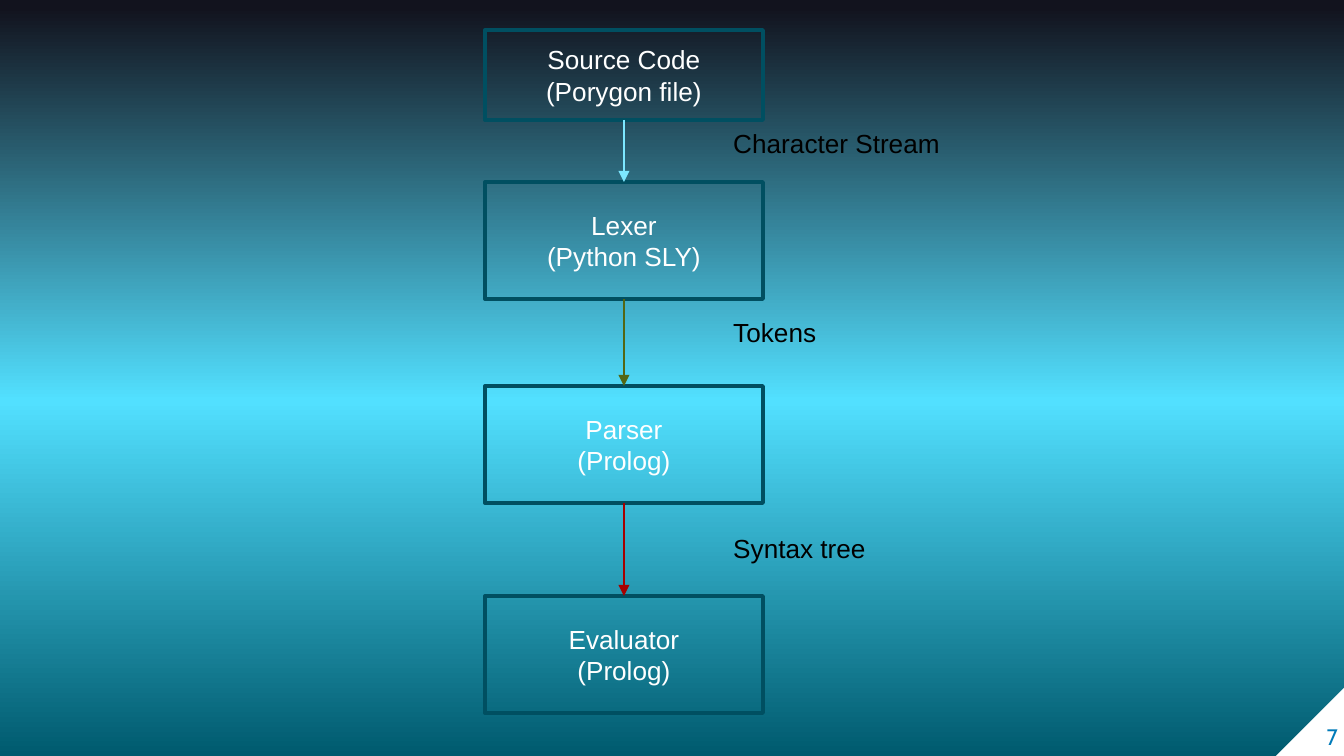
from copy import deepcopy
from itertools import pairwise

from pptx import Presentation
from pptx import util as u
from pptx.dml.color import RGBColor
from pptx.enum import shapes, text
from pptx.oxml import parse_xml
from pptx.oxml.ns import nsdecls

SCALE = 914400 / 134.4
WHITE = RGBColor(0xFF, 0xFF, 0xFF)
BLACK = RGBColor(0x00, 0x00, 0x00)
BORDER = RGBColor(0x00, 0x4F, 0x61)
NUMBER = RGBColor(0x00, 0x7B, 0xB9)
TEAL = RGBColor(0x00, 0x5A, 0x6E)
CYAN = RGBColor(0x52, 0xE0, 0xFF)
NIGHT = RGBColor(0x12, 0x13, 0x1E)
PALE = RGBColor(0x7D, 0xE7, 0xFF)
OLIVE = RGBColor(0x53, 0x67, 0x14)
RED = RGBColor(0xA6, 0x00, 0x00)


def px(*values):
    return [u.Emu(round(v * SCALE)) for v in values]


class Deck:
    font = "Arial"
    size = 14

    def __init__(self, width, height):
        self.prs = Presentation()
        self.prs.slide_width, self.prs.slide_height = px(width, height)
        self.s = self.prs.slides.add_slide(self.prs.slide_layouts[6])

    def background(self, stops, angle):
        fill = self.s.background.fill
        fill.gradient()
        fill.gradient_angle = angle
        first = fill.gradient_stops[0]._gs
        first.addnext(deepcopy(first))
        for stop, (position, color) in zip(fill.gradient_stops, stops):
            stop.position = position
            stop.color.rgb = color

    def set_text(self, sp, words, color, align, size=None, font=None):
        tf = sp.text_frame
        tf.word_wrap = True
        tf.text = words
        for p in tf.paragraphs:
            p.alignment = align
            for r in p.runs:
                r.font.name = font or self.font
                r.font.size = u.Pt(size or self.size)
                r.font.color.rgb = color
        return tf

    def corner(self, x, y, side):
        sp = self.s.shapes.add_shape(shapes.MSO_SHAPE.RIGHT_TRIANGLE, *px(x, y, side, side))
        sp.shadow.inherit = False
        sp.fill.solid()
        sp.fill.fore_color.rgb = WHITE
        sp.line.fill.background()
        sp._element.spPr.xfrm.set("flipH", "1")

    def page_number(self, x, y, w, h, words):
        sp = self.s.shapes.add_textbox(*px(x, y, w, h))
        tf = self.set_text(sp, words, NUMBER, text.PP_ALIGN.RIGHT, 12, "Cabin")
        tf.margin_left = tf.margin_right = tf.margin_top = tf.margin_bottom = 0
        tf.vertical_anchor = text.MSO_ANCHOR.BOTTOM

    def box(self, x, y, w, h, words):
        sp = self.s.shapes.add_shape(shapes.MSO_SHAPE.RECTANGLE, *px(x, y, w, h))
        sp.shadow.inherit = False
        sp.fill.background()
        sp.line.color.rgb = BORDER
        sp.line.width = u.Pt(2)
        tf = self.set_text(sp, words, WHITE, text.PP_ALIGN.CENTER)
        tf.vertical_anchor = text.MSO_ANCHOR.MIDDLE

    def arrow(self, x, top, bottom, color):
        sp = self.s.shapes.add_connector(shapes.MSO_CONNECTOR.STRAIGHT, *px(x, top, x, bottom))
        sp.line.color.rgb = color
        sp.line.width = u.Pt(0.75)
        sp.line._get_or_add_ln().append(parse_xml(f'<a:tailEnd {nsdecls("a")} type="triangle"/>'))
        sp._element.spPr.append(parse_xml(f'<a:effectLst {nsdecls("a")}/>'))

    def label(self, x, y, w, h, words):
        sp = self.s.shapes.add_textbox(*px(x, y, w, h))
        tf = self.set_text(sp, words, BLACK, text.PP_ALIGN.LEFT)
        tf.auto_size = text.MSO_AUTO_SIZE.SHAPE_TO_FIT_TEXT


def main():
    deck = Deck(1344, 756)
    deck.background([(0, TEAL), (0.47, CYAN), (0.99, NIGHT)], 90)
    deck.corner(1276, 687, 69)
    deck.page_number(1271, 681, 67, 69, "7")

    left, width = 485, 278
    stages = [
        (30, 90, "Source Code\v(Porygon file)"),
        (182, 117, "Lexer\n(Python SLY)"),
        (386, 117, "Parser\v(Prolog)"),
        (596, 117, "Evaluator\v(Prolog)"),
    ]
    flows = [
        (PALE, 121, "Character Stream"),
        (OLIVE, 310, "Tokens"),
        (RED, 526, "Syntax tree"),
    ]
    for top, height, words in stages:
        deck.box(left, top, width, height, words)
    for (stage, following), (color, y, words) in zip(pairwise(stages), flows):
        deck.arrow(left + width // 2, stage[0] + stage[1], following[0], color)
        deck.label(720, y, 239, 46, words)

    deck.prs.save("out.pptx")


if __name__ == "__main__":
    main()
